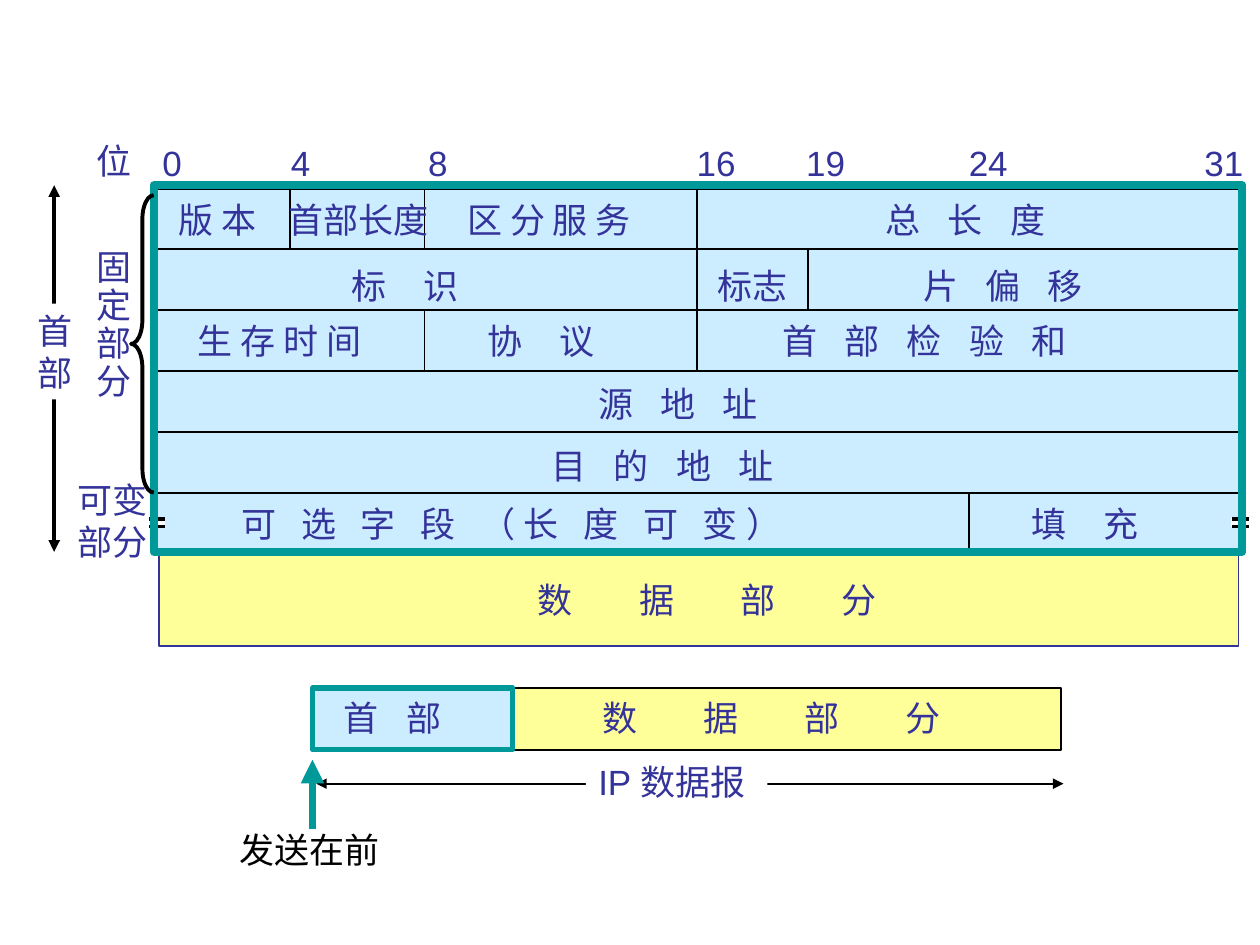
from lxml import etree
from pptx import Presentation
from pptx.dml.color import RGBColor
from pptx.enum.shapes import MSO_CONNECTOR, MSO_SHAPE
from pptx.enum.text import MSO_ANCHOR, PP_ALIGN
from pptx.oxml.ns import qn
from pptx.util import Inches, Pt

BLACK, WHITE, INK, TEAL = "000000", "FFFFFF", "333399", "009999"
BLUE, YELLOW = "CCECFF", "FFFF99"
SPACE_WIDTH = 5.56  # points, one Arial space at 20 pt


def color(value):
    return RGBColor.from_string(value)


def gap(spaces):
    """Tracking that widens a single space to the given number of spaces."""
    return (spaces - 1) * SPACE_WIDTH / 2


def add_box(slide, left, top, width, height, fill=None, line=None, weight=1,
            kind=MSO_SHAPE.RECTANGLE):
    shape = slide.shapes.add_shape(
        kind, Inches(left), Inches(top), Inches(width), Inches(height))
    shape.shadow.inherit = False
    if fill:
        shape.fill.solid()
        shape.fill.fore_color.rgb = color(fill)
    else:
        shape.fill.background()
    if line:
        shape.line.color.rgb = color(line)
        shape.line.width = Pt(weight)
    else:
        shape.line.fill.background()
    return shape


def add_line(slide, x1, y1, x2, y2, line=BLACK, weight=1, heads=()):
    connector = slide.shapes.add_connector(
        MSO_CONNECTOR.STRAIGHT, Inches(x1), Inches(y1), Inches(x2), Inches(y2))
    connector.line.color.rgb = color(line)
    connector.line.width = Pt(weight)
    properties = connector._element.spPr
    outline = properties.find(qn("a:ln"))
    for head in heads:
        etree.SubElement(outline, qn("a:" + head), type="triangle")
    etree.SubElement(properties, qn("a:effectLst"))
    return connector


def add_text(slide, text, left, top, width, height=0.43, font="Arial",
             ink=INK, tracking=0, line_spacing=None, wrap=False, fill=None):
    if fill:
        shape = add_box(slide, left, top, width, height, fill=fill)
    else:
        shape = slide.shapes.add_textbox(
            Inches(left), Inches(top), Inches(width), Inches(height))
    frame = shape.text_frame
    frame.word_wrap = wrap
    frame.vertical_anchor = MSO_ANCHOR.TOP
    if tracking:
        frame.margin_right = 0  # room for the tracking after the last letter
    for index, words in enumerate(text.split("\n")):
        paragraph = frame.paragraphs[0] if index == 0 else frame.add_paragraph()
        paragraph.alignment = PP_ALIGN.LEFT
        if line_spacing:
            paragraph.line_spacing = line_spacing
        run = paragraph.add_run()
        run.text = words
        run.font.size = Pt(20)
        run.font.name = font
        run.font.color.rgb = color(ink)
        if tracking:
            run._r.get_or_add_rPr().set("spc", str(round(tracking * 100)))
    return shape


def add_bit_scale(slide, left, top):
    """Bit numbers above the header."""
    add_text(slide, "位", left - 0.57, top - 0.01, 0.48)
    for number, offset in ((0, -0.05), (4, 0.97), (8, 2.06), (16, 4.19),
                           (19, 5.06), (24, 6.35), (31, 8.22)):
        label = str(number)
        add_text(slide, label, left + offset, top, 0.35 if len(label) == 1 else 0.51)


def add_break_mark(slide, left, top):
    """Two short strokes marking a variable length."""
    add_box(slide, left, top, 0.14, 0.07, fill=WHITE)
    for y in (top + 0.01, top + 0.07):
        add_line(slide, left + 0.01, y, left + 0.14, y, weight=2)


def add_header(slide, left, top, width, height):
    """Header grid with its fields, and the data part below."""
    row_height = 0.485
    add_box(slide, left, top, width, height, BLUE, BLACK, 2)
    add_box(slide, left + 0.02, top + 2.9, width - 0.03, 0.74, YELLOW, INK)
    for row in range(1, 6):
        y = top + row * row_height
        add_line(slide, left, y, left + width, y)

    # Field borders: offset, first row, row after the last
    for offset, first, last in ((1.06, 0, 1), (2.13, 0, 1), (2.13, 2, 3),
                                (4.29, 0, 3), (6.45, 5, 6), (5.17, 1, 2)):
        add_line(slide, left + offset, top + first * row_height,
                 left + offset, top + last * row_height)

    # Field names: text, row, offset, width, tracking
    text_tops = (0.04, 0.56, 1.0, 1.5, 1.99, 2.45)
    fields = (
        ("版 本", 0, 0.08, 0.89, 0),
        ("首部长度", 0, 0.95, 1.31, 0),
        ("区 分 服 务", 0, 2.37, 1.73, 0),
        ("总 长 度", 0, 5.69, 1.87, gap(3)),
        ("标 识", 1, 1.45, 1.31, gap(4)),
        ("标志", 1, 4.36, 0.76, 0),
        ("片 偏 移", 1, 5.99, 1.87, gap(3)),
        ("生 存 时 间", 2, 0.23, 1.73, 0),
        ("协 议", 2, 2.53, 1.31, gap(4)),
        ("首 部 检 验 和", 2, 4.87, 3.26, gap(3)),
        ("源 地 址", 3, 3.41, 1.87, gap(3)),
        ("目 的 地 址", 4, 3.04, 2.56, gap(3)),
        ("可 选 字 段 （长 度 可 变）", 5, 0.58, 5.76, 4.8),
        ("填 充", 5, 6.85, 1.31, gap(4)),
    )
    for text, row, offset, text_width, tracking in fields:
        add_text(slide, text, left + offset, top + text_tops[row], text_width,
                 tracking=tracking)

    for offset in (-0.07, 8.53):
        add_break_mark(slide, left + offset, top + 2.62)
    add_text(slide, "数 据 部 分", left + 2.93, top + 3.05, 3.18, 0.76,
             tracking=gap(7), wrap=True)
    add_box(slide, left - 0.02, top - 0.02, width + 0.04, height + 0.02,
            line=TEAL, weight=4.5)


def add_side_labels(slide, left, top, height):
    """Header extent, fixed part with brace, and variable part."""
    x = left + 0.23
    add_line(slide, x, top, x, top + height, weight=2.25,
             heads=("headEnd", "tailEnd"))
    add_text(slide, "首\n部", left, top + 0.94, 0.48, 0.76, fill=WHITE)
    add_text(slide, "固\n定\n部\n分", left + 0.47, top + 0.47, 0.48, 1.3,
             line_spacing=0.9)
    add_text(slide, "可变\n部分", left + 0.32, top + 2.28, 0.76, 0.76)
    brace = add_box(slide, left + 0.84, top + 0.08, 0.18, 2.36, line=BLACK,
                    weight=2.25, kind=MSO_SHAPE.LEFT_BRACE)
    brace.adjustments[0] = 1.05


def add_datagram(slide, left, top, height):
    """Whole datagram: header first, then data."""
    add_line(slide, left + 0.03, top + 0.76, left + 5.96, top + 0.76,
             heads=("headEnd", "tailEnd"))
    add_box(slide, left + 1.58, top, 4.36, height, YELLOW, BLACK)
    add_box(slide, left, top, 1.59, height, BLUE, TEAL, 3)
    add_text(slide, "数 据 部 分", left + 2.2, top + 0.02, 3.39, 0.76,
             tracking=gap(7), wrap=True)
    add_text(slide, "首 部", left + 0.15, top + 0.02, 1.17, tracking=gap(3))
    add_text(slide, "IP 数据报", left + 2.17, top + 0.53, 1.44, fill=WHITE)

    # Sending order
    add_line(slide, left, top + 1.12, left, top + 0.57, TEAL, 4.5, ("tailEnd",))
    add_text(slide, "发送在前", left - 0.68, top + 1.07, 1.31,
             font="Times New Roman", ink=BLACK)


def main():
    presentation = Presentation()
    presentation.slide_width = Inches(10)
    presentation.slide_height = Inches(7.5)
    slide = presentation.slides.add_slide(presentation.slide_layouts[6])
    add_bit_scale(slide, 1.24, 1.07)
    add_header(slide, 1.24, 1.49, 8.6, 2.89)
    add_side_labels(slide, 0.2, 1.47, 2.91)
    add_datagram(slide, 2.48, 5.46, 0.49)
    presentation.save("out.pptx")


if __name__ == "__main__":
    main()
